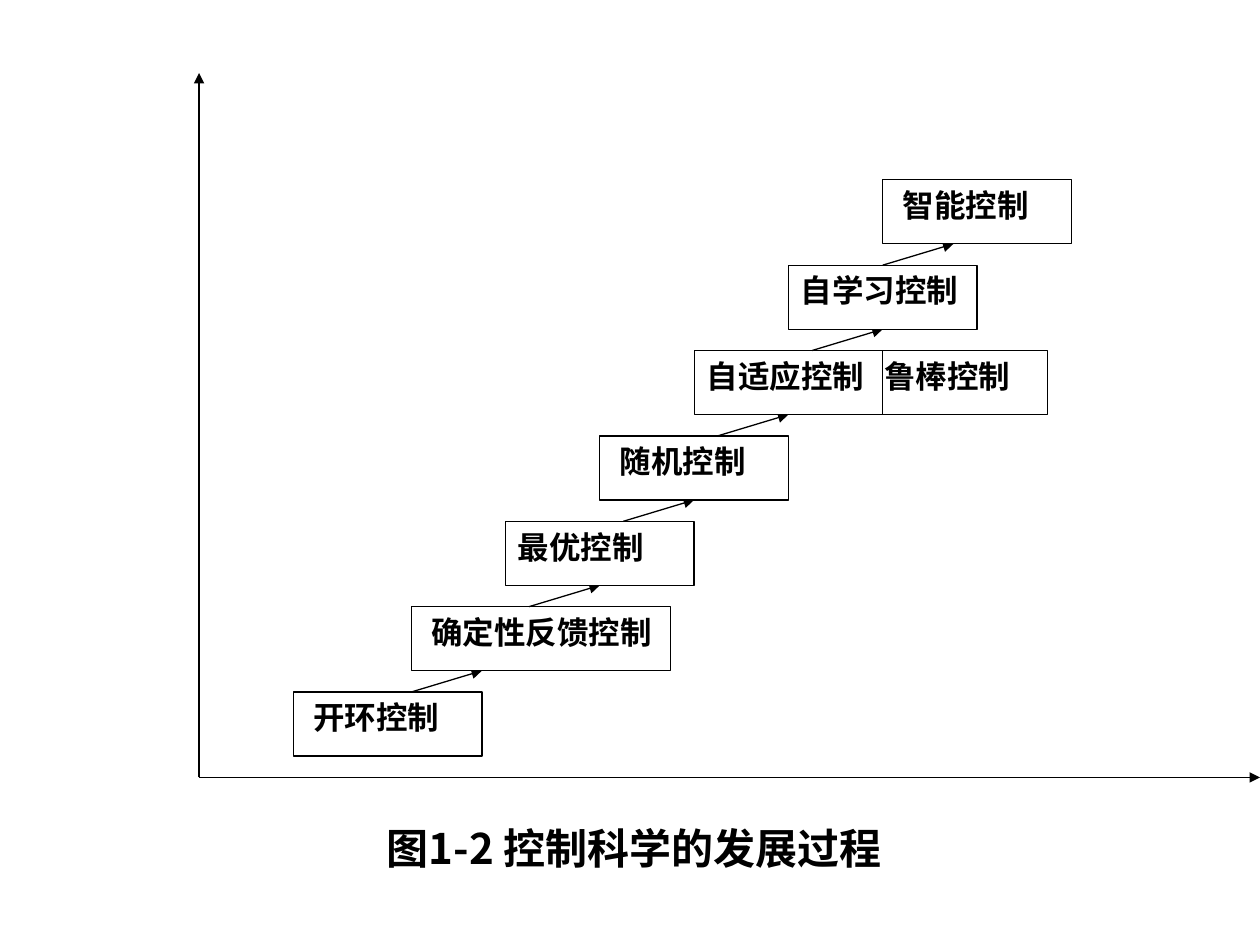
from dataclasses import dataclass

from lxml import etree
from pptx import Presentation, util as u
from pptx.dml.color import RGBColor
from pptx.enum import shapes, text
from pptx.oxml.ns import qn

COLUMNS, ROWS = 45, 33  # grid between the two axes
LEFT, RIGHT, TOP, BOTTOM = 1.58, 10, 0.58, 6.17
STEP_ROWS, BOX_ROWS = 4, 3
BLACK, WHITE = "000000", "FFFFFF"
LATIN, CHINESE = "Times New Roman", "Noto Sans CJK SC"


@dataclass
class Stage:
    label: str
    column: int
    width: int = 8
    indent: float = 0.0
    arrow_column: int | None = None


STAGES = [
    Stage("开环控制", 4, indent=0.06, arrow_column=9),
    Stage("确定性反馈控制", 9, width=11, indent=0.06, arrow_column=14),
    Stage("最优控制", 13, arrow_column=18),
    Stage("随机控制", 17, indent=0.06, arrow_column=22),
    Stage("自适应控制\t鲁棒控制", 21, width=15, arrow_column=26),
    Stage("自学习控制", 25, arrow_column=29),
    Stage("智能控制", 29, indent=0.06),
]


def color(value: str) -> RGBColor:
    return RGBColor.from_string(value)


def grid_x(column: float) -> int:
    return u.Inches(LEFT + column * (RIGHT - LEFT) / COLUMNS)


def grid_y(row: float) -> int:
    """Rows count upwards from the horizontal axis."""
    return u.Inches(BOTTOM - row * (BOTTOM - TOP) / ROWS)


def add_text(paragraph, words: str, size: int, latin: str) -> None:
    run = paragraph.add_run()
    run.text = words
    run.font.size = u.Pt(size)
    run.font.bold = True
    run.font.name = latin
    run.font.color.rgb = color(BLACK)
    east_asian = etree.Element(qn("a:ea"), typeface=CHINESE)
    run.font._element.find(qn("a:latin")).addnext(east_asian)


def add_line(slide, start: tuple[int, int], end: tuple[int, int], arrow: bool = True) -> None:
    """Join two (column, row) points of the grid."""
    line = slide.shapes.add_connector(
        shapes.MSO_CONNECTOR.STRAIGHT,
        grid_x(start[0]), grid_y(start[1]), grid_x(end[0]), grid_y(end[1]))
    line.line.color.rgb = color(BLACK)
    line.line.width = u.Pt(0.75)
    if arrow:
        etree.SubElement(line.line._get_or_add_ln(), qn("a:tailEnd"), type="triangle")
    etree.SubElement(line._element.spPr, qn("a:effectLst"))


def add_stage(slide, stage: Stage, bottom: int) -> None:
    top = bottom + BOX_ROWS
    left, right = grid_x(stage.column), grid_x(stage.column + stage.width)
    box = slide.shapes.add_shape(
        shapes.MSO_SHAPE.RECTANGLE, left, grid_y(top),
        right - left, grid_y(bottom) - grid_y(top))
    box.shadow.inherit = False
    box.fill.solid()
    box.fill.fore_color.rgb = color(WHITE)
    box.line.color.rgb = color(BLACK)
    box.line.width = u.Pt(0.75)
    frame = box.text_frame
    frame.word_wrap = True
    frame.vertical_anchor = text.MSO_ANCHOR.TOP
    frame.margin_left = u.Inches(0.1 + stage.indent)
    paragraph = frame.paragraphs[0]
    paragraph.alignment = text.PP_ALIGN.JUSTIFY
    if "\t" in stage.label:
        tabs = etree.SubElement(paragraph._p.get_or_add_pPr(), qn("a:tabLst"))
        etree.SubElement(tabs, qn("a:tab"), pos=str(u.Inches(1.41)), algn="l")
    add_text(paragraph, stage.label, 18, LATIN)


def add_caption(slide) -> None:
    caption = slide.shapes.title
    caption.left, caption.top = u.Inches(2.97), u.Inches(6.48)
    caption.width, caption.height = u.Inches(4.83), u.Inches(0.5)
    frame = caption.text_frame
    frame.word_wrap = True
    frame.auto_size = text.MSO_AUTO_SIZE.NONE
    frame.vertical_anchor = text.MSO_ANCHOR.TOP
    paragraph = frame.paragraphs[0]
    paragraph.alignment = text.PP_ALIGN.LEFT
    add_text(paragraph, "图1-2 控制科学的发展过程", 24, CHINESE)


def main() -> None:
    presentation = Presentation()
    presentation.slide_width, presentation.slide_height = u.Inches(10), u.Inches(7.5)
    slide = presentation.slides.add_slide(presentation.slide_layouts.get_by_name("Title Only"))

    add_line(slide, (0, 0), (0, ROWS))
    add_line(slide, (0, 0), (COLUMNS, 0))
    for index, stage in enumerate(STAGES):
        bottom = 1 + index * STEP_ROWS
        add_stage(slide, stage, bottom)
        if "\t" in stage.label:
            divider = stage.column + 8
            add_line(slide, (divider, bottom + BOX_ROWS), (divider, bottom), arrow=False)
        if stage.arrow_column is not None:
            start = bottom + BOX_ROWS
            add_line(slide, (stage.arrow_column, start), (stage.arrow_column + 3, start + 1))
    add_caption(slide)
    presentation.save("out.pptx")


if __name__ == "__main__":
    main()
